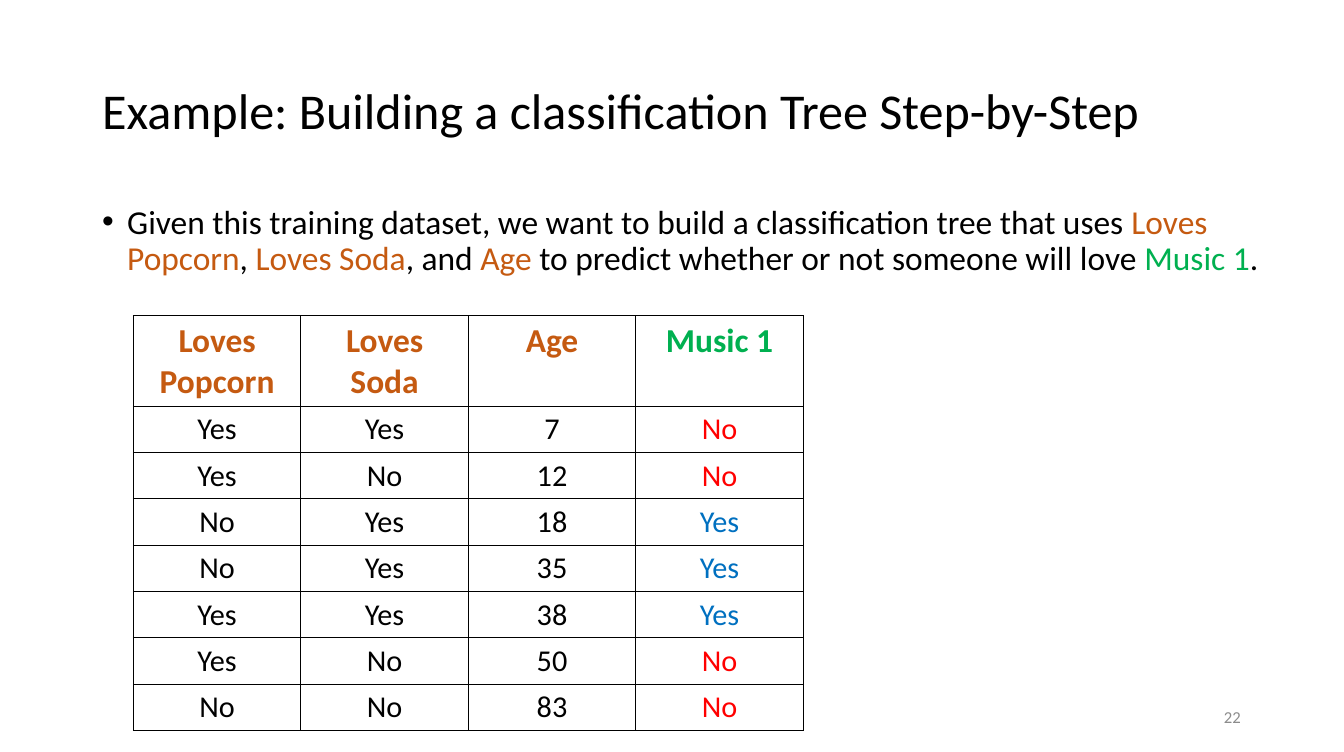
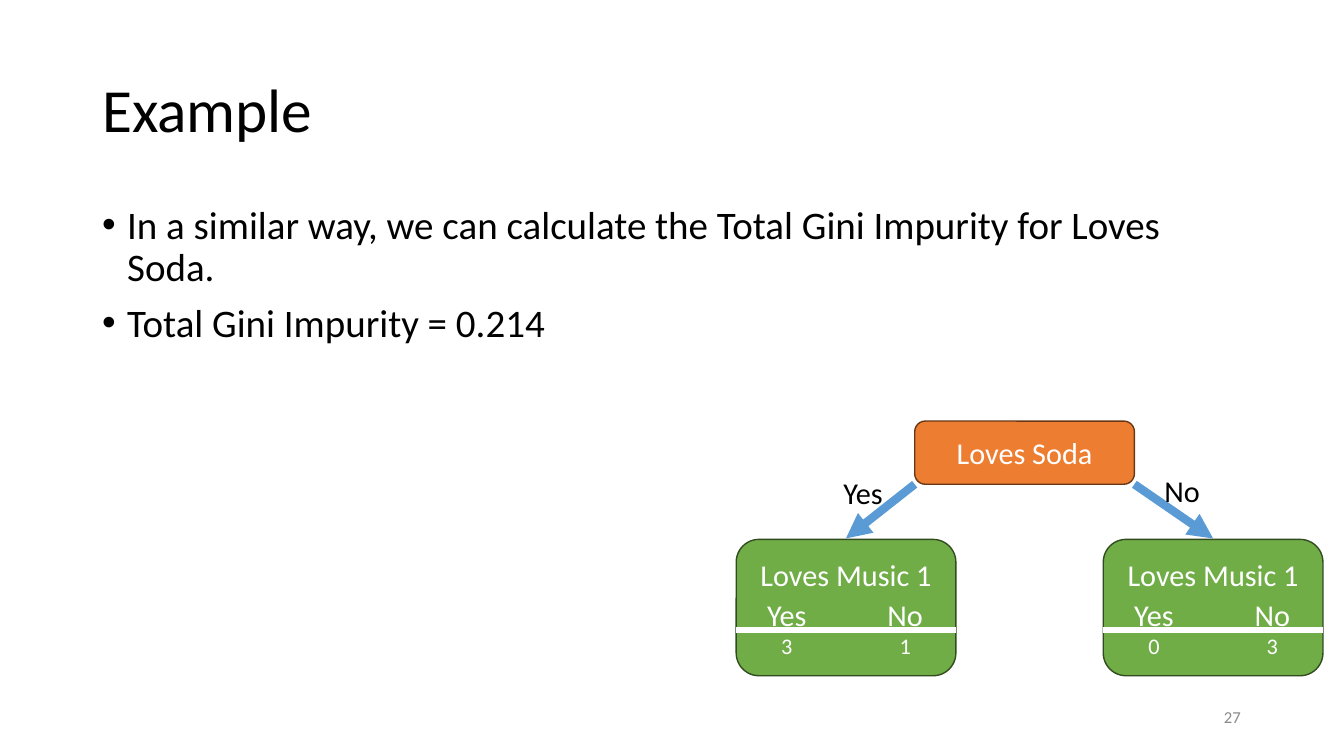
from lxml.etree import SubElement
from pptx import Presentation
from pptx.dml.color import RGBColor
from pptx.enum.shapes import MSO_CONNECTOR as CONN, MSO_SHAPE as SHAPE
from pptx.enum.text import MSO_ANCHOR as ANCHOR, PP_ALIGN as ALIGN
from pptx.oxml.ns import qn
from pptx.util import Emu, Pt

COLORS = {
    "black": "000000", "white": "FFFFFF", "gray": "8C8C8C",
    "feature": "C55A11", "target": "00B050", "no": "FF0000", "yes": "0070C0",
    "root": "ED7D31", "root_edge": "683715",
    "leaf": "70AD47", "leaf_edge": "314C1F", "arrow": "5B9BD5",
}
FONT = "Calibri"
SMALL = 21.7  # size of table cells and tree labels

DATASET_SLIDE = {
    "title": "Example: Building a classification Tree Step-by-Step",
    "title_size": 36, "body_size": 24, "body_width": 1186, "number": "22",
    "bullets": [[
        ("Given this training dataset, we want to build a classification tree that uses ", "black"),
        ("Loves Popcorn", "feature"), (", ", "black"),
        ("Loves Soda", "feature"), (", and ", "black"),
        ("Age", "feature"),
        (" to predict whether or not someone will love ", "black"),
        ("Music 1", "target"), (".", "black"),
    ]],
}
DATASET = [
    ("Loves Popcorn", "Loves Soda", "Age", "Music 1"),
    ("Yes", "Yes", "7", "No"),
    ("Yes", "No", "12", "No"),
    ("No", "Yes", "18", "Yes"),
    ("No", "Yes", "35", "Yes"),
    ("Yes", "Yes", "38", "Yes"),
    ("Yes", "No", "50", "No"),
    ("No", "No", "83", "No"),
]
GINI_SLIDE = {
    "title": "Example",
    "title_size": 44, "body_size": 28, "body_width": 1156, "number": "27",
    "bullets": [
        [("In a similar way, we can calculate the Total Gini Impurity for Loves Soda.", "black")],
        [("Total Gini Impurity = 0.214", "black")],
    ],
}
ROOT = "Loves Soda"
LEAF = "Loves Music 1"
BRANCHES = [  # answer, its label position, leaf left edge, (yes, no) counts
    ("Yes", (831, 468), 734, ("3", "1")),
    ("No", (1151, 466), 1100, ("0", "3")),
]
NODE_W, ROOT_X, ROOT_Y, ROOT_H = 219, 912, 420, 63
LEAF_Y, LEAF_H, DIVIDER_Y = 538, 136, 628
COUNT_TABS = (34, 152)


def px(n):
    """Turn layout pixels, 100 to the inch, into EMU."""
    return Emu(int(n * 9144))


def rgb(name):
    return RGBColor.from_string(COLORS[name])


def add_run(p, text, size, color="black", bold=False):
    r = p.add_run()
    r.text = text
    for key, value in {"name": FONT, "size": Pt(size), "bold": bold}.items():
        setattr(r.font, key, value)
    r.font.color.rgb = rgb(color)


def add_text(s, box, anchor=ANCHOR.TOP):
    tf = s.shapes.add_textbox(*map(px, box)).text_frame
    tf.word_wrap = True
    tf.vertical_anchor = anchor
    return tf


def add_bullet(p):
    pPr = p._p.get_or_add_pPr()
    pPr.set("marL", str(px(25)))
    pPr.set("indent", str(px(-25)))
    SubElement(pPr, qn("a:buFont"), typeface="Arial")
    SubElement(pPr, qn("a:buChar"), char="•")


def add_slide(prs, content):
    """Add a slide with its title, bulleted body and page number."""
    s = prs.slides.add_slide(prs.slide_layouts[6])
    p = add_text(s, (92, 40, 1156, 145), ANCHOR.MIDDLE).paragraphs[0]
    p.line_spacing = 0.9
    add_run(p, content["title"], content["title_size"])

    tf = add_text(s, (92, 200, content["body_width"], 476))
    for i, runs in enumerate(content["bullets"]):
        p = tf.add_paragraph() if i else tf.paragraphs[0]
        add_bullet(p)
        p.line_spacing = 0.9
        if i:
            p.space_before = Pt(10)
        for text, color in runs:
            add_run(p, text, content["body_size"], color)

    p = add_text(s, (946, 695, 301, 40), ANCHOR.MIDDLE).paragraphs[0]
    p.alignment = ALIGN.RIGHT
    add_run(p, content["number"], 12, "gray")
    return s


def add_borders(cell):
    tcPr = cell._tc.get_or_add_tcPr()
    for i, side in enumerate(("a:lnL", "a:lnR", "a:lnT", "a:lnB")):
        ln = tcPr.makeelement(qn(side), {"w": str(Pt(1))})
        fill = SubElement(ln, qn("a:solidFill"))
        SubElement(fill, qn("a:srgbClr"), val=COLORS["black"])
        tcPr.insert(i, ln)


def add_dataset(s):
    rows, cols = len(DATASET), len(DATASET[0])
    table = s.shapes.add_table(
        rows, cols, px(133), px(315), px(167 * cols), px(41 * rows)).table
    table.first_row = table.horz_banding = False
    for i, values in enumerate(DATASET):
        for j, text in enumerate(values):
            is_head, is_target = i == 0, j == cols - 1
            if is_head:
                color = "target" if is_target else "feature"
            else:
                color = text.lower() if is_target else "black"
            cell = table.cell(i, j)
            cell.fill.background()
            add_borders(cell)
            p = cell.text_frame.paragraphs[0]
            p.alignment = ALIGN.CENTER
            add_run(p, text, 24 if is_head else SMALL, color, is_head)


def add_node(s, x, y, h, kind, text):
    sp = s.shapes.add_shape(SHAPE.ROUNDED_RECTANGLE, *map(px, (x, y, NODE_W, h)))
    sp.shadow.inherit = False
    sp.fill.solid()
    sp.fill.fore_color.rgb = rgb(kind)
    sp.line.color.rgb = rgb(kind + "_edge")
    sp.line.width = Pt(1)
    tf = sp.text_frame
    tf.vertical_anchor = ANCHOR.MIDDLE
    p = tf.paragraphs[0]
    p.alignment = ALIGN.CENTER
    add_run(p, text, SMALL, "white")
    return tf


def add_count_row(tf, pair, size, gap=0):
    """Add a paragraph whose two entries are centred on tab stops."""
    p = tf.add_paragraph()
    tabs = SubElement(p._p.get_or_add_pPr(), qn("a:tabLst"))
    for x in COUNT_TABS:
        SubElement(tabs, qn("a:tab"), pos=str(px(x)), algn="ctr")
    p.alignment = ALIGN.LEFT
    p.space_before = Pt(gap)
    add_run(p, "".join("\t" + text for text in pair), size, "white")


def add_line(s, start, end, color, width, arrow=False):
    c = s.shapes.add_connector(CONN.STRAIGHT, *map(px, start + end))
    c.line.color.rgb = rgb(color)
    c.line.width = Pt(width)
    if arrow:
        SubElement(c.line._get_or_add_ln(), qn("a:tailEnd"), type="triangle")
    SubElement(c._element.spPr, qn("a:effectLst"))


def add_tree(s):
    add_node(s, ROOT_X, ROOT_Y, ROOT_H, "root", ROOT)
    for i, (answer, label_at, x, counts) in enumerate(BRANCHES):
        tf = add_node(s, x, LEAF_Y, LEAF_H, "leaf", LEAF)
        add_count_row(tf, ("Yes", "No"), SMALL, gap=2.4)
        add_count_row(tf, counts, 16)
        add_line(s, (x, DIVIDER_Y), (x + NODE_W, DIVIDER_Y), "white", 4.5)
        corner = (ROOT_X + i * NODE_W, ROOT_Y + ROOT_H)
        add_line(s, corner, (x + NODE_W / 2, LEAF_Y - 1), "arrow", 6, arrow=True)
        p = add_text(s, (*label_at, 68, 47)).paragraphs[0]
        add_run(p, answer, SMALL)


def main():
    prs = Presentation()
    prs.slide_width, prs.slide_height = px(1340), px(750)
    add_dataset(add_slide(prs, DATASET_SLIDE))
    add_tree(add_slide(prs, GINI_SLIDE))
    prs.save("out.pptx")


if __name__ == "__main__":
    main()
